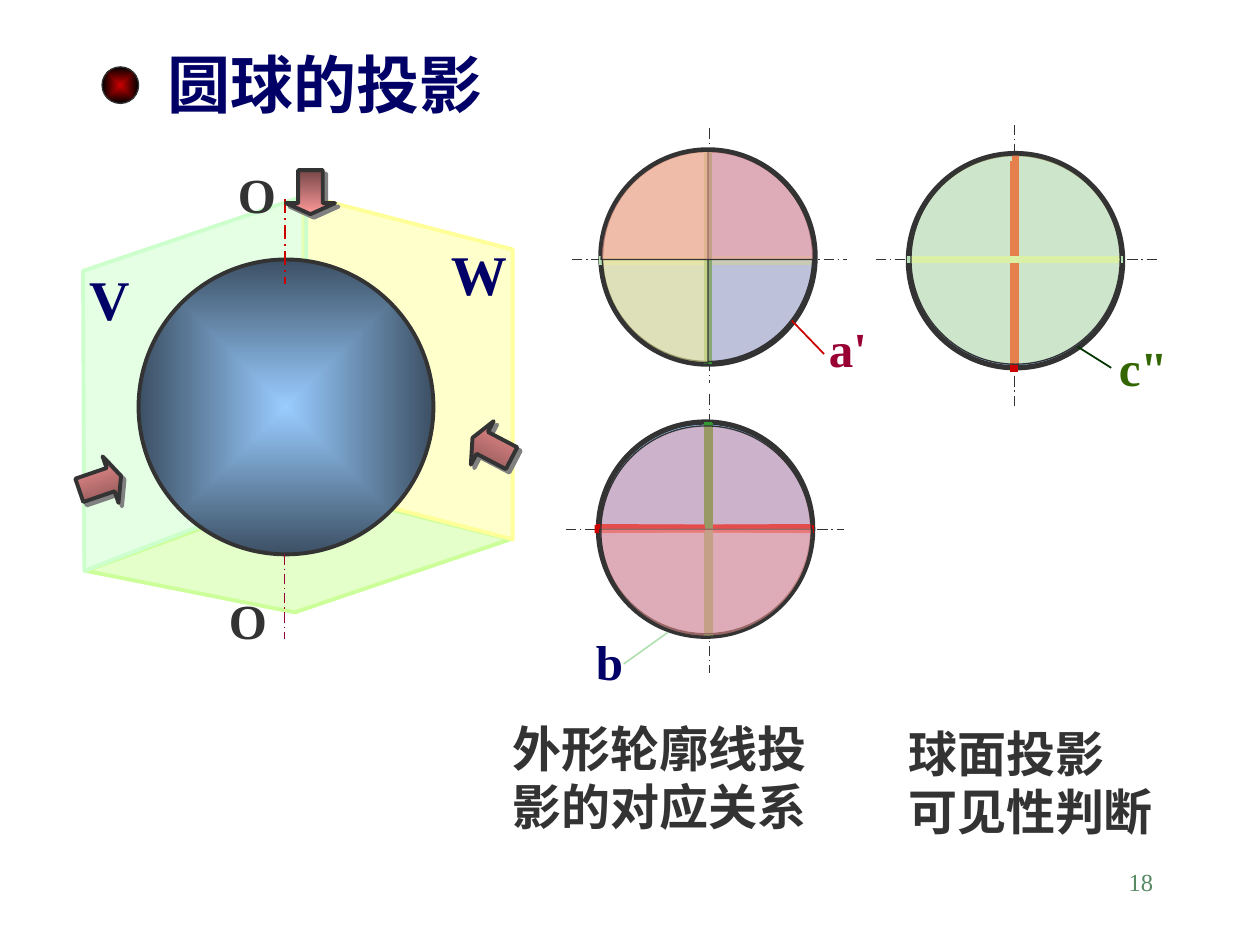
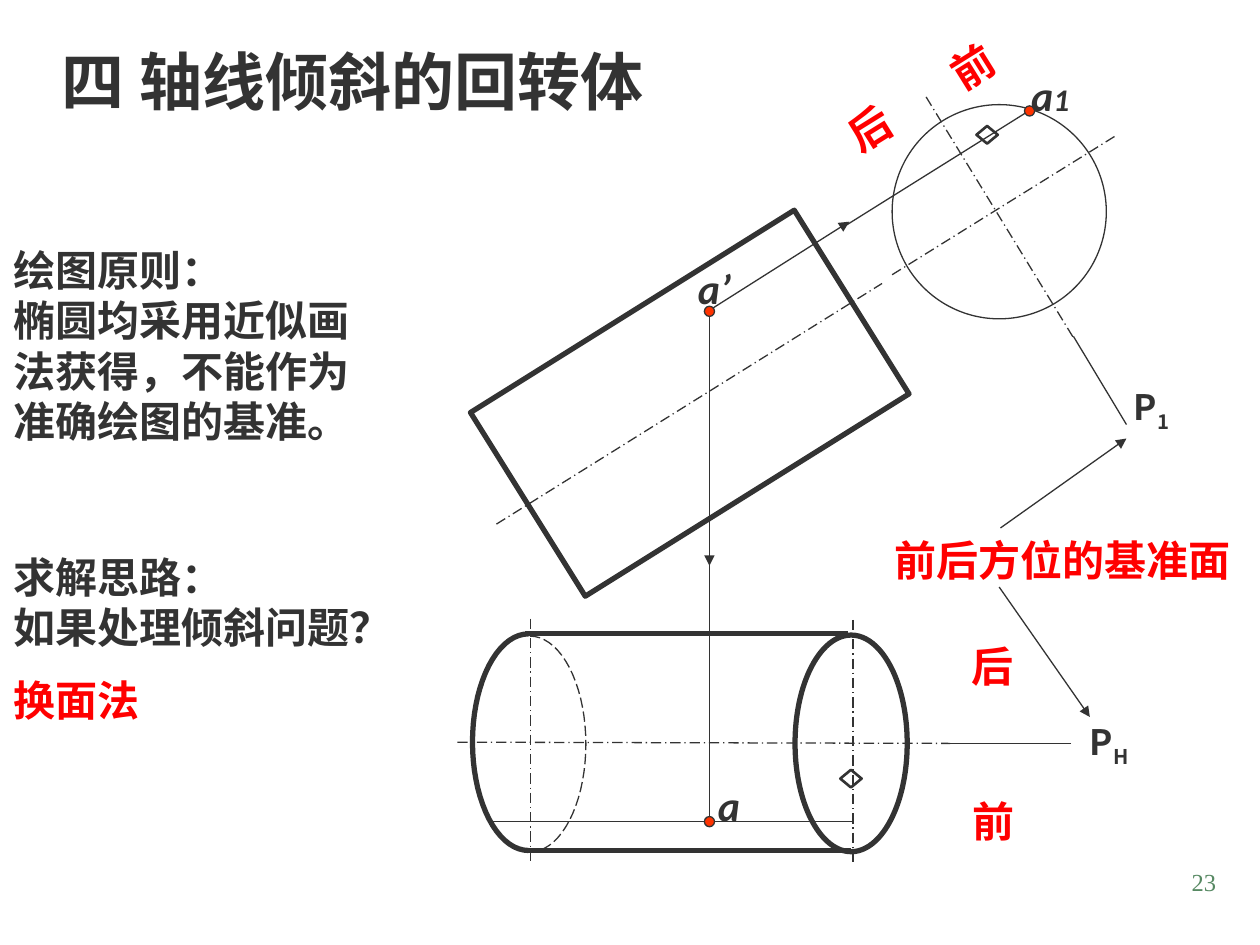
"""Build two descriptive-geometry slides: sphere projection and inclined solids of revolution."""
from math import cos, radians, sin

from lxml import etree
from pptx import Presentation
from pptx.dml.color import RGBColor
from pptx.enum.dml import MSO_LINE
from pptx.enum.shapes import MSO_CONNECTOR, MSO_SHAPE
from pptx.enum.text import MSO_ANCHOR, MSO_AUTO_SIZE, PP_ALIGN
from pptx.oxml.ns import qn
from pptx.util import Pt

STRAIGHT = MSO_CONNECTOR.STRAIGHT
OVAL, RECTANGLE, DOWN_ARROW = MSO_SHAPE.OVAL, MSO_SHAPE.RECTANGLE, MSO_SHAPE.DOWN_ARROW
DOT, DIAMOND = MSO_SHAPE.FLOWCHART_CONNECTOR, MSO_SHAPE.FLOWCHART_DECISION
CHAIN, DASHED = MSO_LINE.LONG_DASH_DOT, MSO_LINE.LONG_DASH
TOP, MIDDLE = MSO_ANCHOR.TOP, MSO_ANCHOR.MIDDLE
LEFT, CENTER, RIGHT = PP_ALIGN.LEFT, PP_ALIGN.CENTER, PP_ALIGN.RIGHT

SERIF, HAN, LATIN = "Times New Roman", "Noto Sans CJK SC", "Calibri"
INK = RGBColor(0x33, 0x33, 0x33)
NAVY = RGBColor(0x00, 0x00, 0x66)
PAGE_GREEN = RGBColor(0x57, 0x89, 0x63)
SKY = RGBColor(0x99, 0xCC, 0xFF)
DEEP_SKY = RGBColor(0x3C, 0x50, 0x64)
LIME = RGBColor(0xCC, 0xFF, 0x99)
YELLOW = RGBColor(0xFF, 0xFF, 0x99)
MINT = RGBColor(0xCC, 0xFF, 0xCC)
PALE_GREEN = RGBColor(0xB3, 0xE1, 0xB3)
GREEN = RGBColor(0x33, 0x99, 0x33)
DARK_GREEN = RGBColor(0x00, 0x33, 0x00)
OLIVE = RGBColor(0x33, 0x66, 0x00)
CRIMSON = RGBColor(0xCC, 0x00, 0x00)
WINE = RGBColor(0x99, 0x00, 0x33)
ROSE = RGBColor(0xE1, 0xB7, 0xB7)
PINK = RGBColor(0xFF, 0x99, 0x99)
BROWN = RGBColor(0x76, 0x47, 0x47)
GREY = RGBColor(0x80, 0x80, 0x80)
BLACK = RGBColor(0x00, 0x00, 0x00)
RED = RGBColor(0xFF, 0x00, 0x00)
ORANGE_RED = RGBColor(0xFF, 0x33, 0x00)

# Slide 1
PLANES = [
    (LIME, [(176.4, 279.4), (49, 326.2), (168.5, 349.9), (291.6, 308.2)]),
    (YELLOW, [(173.5, 111.6), (173.5, 277.2), (293, 308.2), (293, 142.6)]),
    (MINT, [(47.5, 154.8), (175, 111.6), (175, 277.2), (48.2, 326.2)]),
]
VIEW_CIRCLES = [(342, 241.2), (519.1, 87.8), (343.4, 85.7)]
VIEW_SIZE = 122.4
CENTER_LINES = [
    (326.9, 148.3, 483.8, 148.3), (500.4, 148.3, 661.7, 148.3),
    (579.6, 71.3, 579.6, 232.6), (405.4, 73.4, 405.4, 218.9),
    (405.4, 225.4, 405.4, 384.5), (323.3, 302.4, 482.4, 302.4),
]
LEADERS = [
    ((452.2, 182.9, 470.9, 202.3), CRIMSON),
    ((381.6, 361.4, 356.4, 379.4), PALE_GREEN),
    ((615.6, 198, 635, 210.2), DARK_GREEN),
]
OUTLINE_LINES = [
    ((340.6, 301.7, 465.1, 302.4), CRIMSON), ((580.3, 88.6, 580.3, 208.8), CRIMSON),
    ((342, 148.3, 464.4, 148.3), PALE_GREEN), ((404.6, 241.2, 404.6, 363.6), GREEN),
    ((339.8, 302.4, 463.7, 301.7), CRIMSON), ((579.6, 92.2, 579.6, 212.4), CRIMSON),
    ((342, 149, 464.4, 149), PALE_GREEN), ((518.4, 148.3, 641.5, 148.3), PALE_GREEN),
    ((404.6, 86.4, 404.6, 208.1), GREEN), ((405.4, 241.9, 405.4, 364.3), GREEN),
]
SPHERE_AXES = [
    ((162.7, 113.8, 162.7, 162), CRIMSON, 1),
    ((162.7, 316.8, 162.7, 365), WINE, 0.75),
]
HALF, WHOLE = "half", "whole"
TINTS = [
    (HALF, ROSE, (403.5, 302.4, 60.8, 59.8, 0, 180)),
    (WHOLE, ROSE, (344.2, 86.4, 120.2, 120.2)),
    (HALF, YELLOW, (404.6, 146.9, 60.4, 60.5, 90, 270)),
    (WHOLE, YELLOW, (520.6, 88.6, 119.5, 119.5)),
    (HALF, PINK, (404.3, 148.3, 60.8, 61.9, 180, 360)),
    (WHOLE, PINK, (343.4, 243.4, 120.2, 120.2)),
]
SPHERE_LABELS = [
    ("V", 32, NAVY, (43.9, 147.6, 37.4, 45.4)),
    ("W", 32, NAVY, (250.6, 133.2, 46.8, 45.4)),
    ("a'", 28, WINE, (466.6, 178.6, 46.1, 41)),
    ("b", 28, NAVY, (333.4, 357.1, 30.2, 41)),
    ('c"', 28, OLIVE, (632.2, 189.4, 46, 41)),
    ("O", 28, INK, (128.9, 90.7, 36, 41)),
    ("O", 28, INK, (123.8, 334.1, 36, 41)),
    ("外形轮廓线投\n影的对应关系", 28, INK, (285.8, 406.8, 210.2, 74.2)),
    ("球面投影\n可见性判断", 28, INK, (511.9, 409.7, 181.4, 74.2)),
]
VIEW_ARROWS = [
    (163.4, 97.2, 0, BROWN, PINK, 90),
    (267.1, 243.4, 117.6, PINK, BROWN, 0),
    (43.2, 263.5, 251.1, BROWN, PINK, 0),
]

# Slide 2
HAIRLINES = [
    (405.4, 320.4, 405.4, 468.7), (487.4, 469.4, 280.1, 469.4), (481, 130.3, 586.8, 64.1),
    (612, 424.8, 542.9, 424.8), (643.7, 242.6, 613.4, 192.2),
]
ARROW_LINES = [
    (405.4, 177.8, 405.4, 323.3), (406.8, 176.4, 485.3, 126.7),
    (571.7, 301.7, 643.7, 250.6), (571, 335.5, 622.8, 409.7),
]
AXIS_LINES = [
    (283.7, 299.5, 504, 162), (303.1, 353.5, 303.1, 493.9), (487.4, 354.2, 487.4, 493.2),
    (261.4, 424.1, 542.9, 424.8), (509.8, 157, 637.2, 77.8), (529.2, 55.4, 613.4, 193),
]
CYLINDER_EDGES = [(300.2, 362.2, 484.6, 362.2), (301.7, 486, 486, 486)]
SOLID_SHAPES = [
    (RECTANGLE, (285.1, 168.5, 218.2, 123.8), None, 3, 328),
    (OVAL, (454.3, 362.9, 64.1, 123.8), None, 3, 0),
    (OVAL, (509.8, 59.8, 122.4, 122.4), None, 0.75, 0),
    (DIAMOND, (558, 72, 12.2, 10.1), None, 1.5, 0),
    (DIAMOND, (480.2, 439.9, 12.2, 10.1), None, 1.5, 0),
]
POINT_MARKS = [(402.5, 175), (402.5, 466.6), (585.4, 60.5)]
NOTES = [
    ("求解思路：\n如果处理倾斜问题？", INK, (0.7, 311, 247.7, 65.5), 0),
    ("绘图原则：\n椭圆均采用近似画法获得，不能作为准确绘图的基准。", INK, (0.7, 135.4, 223.9, 123.8), 0),
    ("换面法", RED, (0.7, 381.6, 247.7, 36), 0),
    ("前后方位的基准面", RED, (504, 301.7, 216, 36), 0),
    ("前", RED, (548.6, 450.7, 56.2, 36), 0),
    ("前", RED, (535, 15.1, 56.2, 36), 328.1),
    ("后", RED, (547.9, 362.2, 56.2, 36), 0),
    ("后", RED, (476.6, 50.4, 56.2, 36), 328.1),
]
POINT_LABELS = [
    ([("a’", 24)], (385.2, 146.2, 46.1, 36)),
    ([("a", 24), ("1", 18)], (576.7, 36, 46.8, 36)),
    ([("a", 24)], (403.2, 442.1, 25.9, 36)),
]
PLANE_LABELS = [("H", (615.6, 409.7, 43.2, 31.7)), ("1", (640.8, 218.2, 43.2, 31.7))]


def pts(values):
    return [Pt(value) for value in values]


def add_span(para, text, size, colour, font=SERIF, bold=True, italic=False, base=0):
    span = para.add_run()
    span.text = text
    span.font.size, span.font.bold, span.font.italic = Pt(size), bold, italic
    span.font.name, span.font.color.rgb = font, colour
    props = span._r.get_or_add_rPr()
    etree.SubElement(props, qn("a:ea"), typeface=HAN)
    if base:
        props.set("baseline", str(base * 1000))


def prepare_frame(box, anchor):
    frame = box.text_frame
    frame.word_wrap, frame.auto_size = True, MSO_AUTO_SIZE.NONE
    frame.vertical_anchor = anchor
    return frame


def add_box(page, place, anchor=MIDDLE, align=LEFT, turn=0):
    box = page.shapes.add_textbox(*pts(place))
    box.rotation = turn
    para = prepare_frame(box, anchor).paragraphs[0]
    para.alignment = align
    return box.text_frame


def add_lines(frame, text, size, colour, font):
    for index, line in enumerate(text.split("\n")):
        para = frame.add_paragraph() if index else frame.paragraphs[0]
        add_span(para, line, size, colour, font)


def add_line(page, ends, colour=INK, width=0.75, dash=None, arrow=False):
    connector = page.shapes.add_connector(STRAIGHT, *pts(ends))
    connector.line.color.rgb, connector.line.width = colour, Pt(width)
    if dash:
        connector.line.dash_style = dash
    if arrow:
        etree.SubElement(connector.line._get_or_add_ln(), qn("a:tailEnd"), type="triangle")
    etree.SubElement(connector._element.spPr, qn("a:effectLst"))


def paint(shape, fill=None, colour=INK, width=0.75, opacity=100):
    shape.shadow.inherit = False
    shape.line.color.rgb, shape.line.width = colour, Pt(width)
    if fill is None:
        shape.fill.background()
        return
    shape.fill.solid()
    shape.fill.fore_color.rgb = fill
    if opacity < 100:
        tone = shape._element.spPr.find(qn("a:solidFill"))[0]
        etree.SubElement(tone, qn("a:alpha"), val=str(opacity * 1000))


def add_form(page, kind, place, fill=None, width=0.75, opacity=100, turn=0):
    shape = page.shapes.add_shape(kind, *pts(place))
    shape.rotation = turn
    paint(shape, fill, INK, width, opacity)
    return shape


def add_outline(page, points, close=True):
    start, *rest = [tuple(pts(point)) for point in points]
    builder = page.shapes.build_freeform(*start)
    builder.add_line_segments(rest, close=close)
    return builder.convert_to_shape()


def arc(center_x, center_y, radius_x, radius_y, start, end):
    return [(center_x + radius_x * cos(radians(angle)), center_y + radius_y * sin(radians(angle)))
            for angle in range(start, end + 1, 5)]


def set_gradient(shape, first, last, angle=None):
    props = shape._element.spPr
    gradient = etree.Element(qn("a:gradFill"), rotWithShape="1")
    stops = etree.SubElement(gradient, qn("a:gsLst"))
    for position, colour in ((0, first), (100000, last)):
        stop = etree.SubElement(stops, qn("a:gs"), pos=str(position))
        etree.SubElement(stop, qn("a:srgbClr"), val=str(colour))
    if angle is None:
        shade = etree.SubElement(gradient, qn("a:path"), path="shape")
        etree.SubElement(shade, qn("a:fillToRect"), l="50000", t="50000", r="50000", b="50000")
    else:
        etree.SubElement(gradient, qn("a:lin"), ang=str(angle * 60000), scaled="1")
    props.replace(props.find(qn("a:noFill")), gradient)


def add_drop_shadow(shape):
    effects = shape._element.spPr.find(qn("a:effectLst"))
    shadow = etree.SubElement(effects, qn("a:outerShdw"), blurRad="0", dist=str(Pt(2.8)),
                              dir="2700000", algn="ctr", rotWithShape="0")
    etree.SubElement(shadow, qn("a:srgbClr"), val=str(GREY))


def add_page(deck, title, place, colour, font, number, number_left):
    page = deck.slides.add_slide(deck.slide_layouts[5])
    heading = page.shapes.title
    heading.left, heading.top, heading.width, heading.height = pts(place)
    para = prepare_frame(heading, MIDDLE).paragraphs[0]
    para.alignment = LEFT
    add_span(para, title, 36, colour, font)
    frame = add_box(page, (number_left, 491.8, 149.8, 36), TOP, RIGHT)
    add_span(frame.paragraphs[0], number, 14, PAGE_GREEN, bold=False)
    return page


def build_sphere_page(deck):
    page = add_page(deck, "圆球的投影", (88.6, 22.3, 275, 50.4), NAVY, SERIF, "18", 516.2)
    for colour, corners in PLANES:
        paint(add_outline(page, corners), colour, colour, 2.25, 50)
    for left, top in VIEW_CIRCLES:
        add_form(page, OVAL, (left, top, VIEW_SIZE, VIEW_SIZE), SKY, 3)
    for ends in CENTER_LINES:
        add_line(page, ends, dash=CHAIN)
    for ends, colour in LEADERS:
        add_line(page, ends, colour, 1)
    for ends, colour in OUTLINE_LINES:
        add_line(page, ends, colour, 4.5)
    set_gradient(add_form(page, OVAL, (79.2, 148.3, 168.5, 168.5), width=2.25), SKY, DEEP_SKY)
    for ends, colour, width in SPHERE_AXES:
        add_line(page, ends, colour, width, CHAIN)
    set_gradient(add_form(page, OVAL, (58.3, 38.2, 20.9, 20.9)), CRIMSON, BLACK)
    for extent, colour, geometry in TINTS:
        if extent == HALF:
            paint(add_outline(page, arc(*geometry)), colour, opacity=50)
        else:
            add_form(page, OVAL, geometry, colour, opacity=50)
    for text, size, colour, place in SPHERE_LABELS:
        add_lines(add_box(page, place, TOP), text, size, colour, SERIF)
    for left, top, turn, first, last, angle in VIEW_ARROWS:
        arrow = add_form(page, DOWN_ARROW, (left, top, 28.1, 25.2), width=2.25, turn=turn)
        arrow.adjustments[0], arrow.adjustments[1] = 0.5, 0.25
        set_gradient(arrow, first, last, angle)
        add_drop_shadow(arrow)


def build_inclined_page(deck):
    page = add_page(deck, "四 轴线倾斜的回转体", (28.1, 20.9, 671, 50.4), INK, HAN, "23", 552.2)
    for ends in HAIRLINES:
        add_line(page, ends)
    for ends in ARROW_LINES:
        add_line(page, ends, arrow=True)
    for ends in AXIS_LINES:
        add_line(page, ends, dash=CHAIN)
    for ends in CYLINDER_EDGES:
        add_line(page, ends, width=3)
    for kind, place, fill, width, turn in SOLID_SHAPES:
        add_form(page, kind, place, fill, width, turn=turn)
    hidden_end = add_outline(page, arc(302.8, 425.2, 32, 61.7, -90, 90), close=False)
    paint(hidden_end)
    hidden_end.line.dash_style = DASHED
    paint(add_outline(page, arc(302, 424.1, 32, 61.9, 90, 270), close=False), width=3)
    for left, top in POINT_MARKS:
        add_form(page, DOT, (left, top, 5.8, 5.8), ORANGE_RED)
    for text, colour, place, turn in NOTES:
        add_lines(add_box(page, place, turn=turn), text, 24, colour, HAN)
    for spans, place in POINT_LABELS:
        para = add_box(page, place, align=CENTER).paragraphs[0]
        for text, size in spans:
            add_span(para, text, size, INK, LATIN, italic=True)
    for subscript, place in PLANE_LABELS:
        para = add_box(page, place).paragraphs[0]
        add_span(para, "P", 20, INK, HAN)
        add_span(para, subscript, 20, INK, HAN, base=-25)


def main():
    deck = Presentation()
    deck.slide_width, deck.slide_height = Pt(720), Pt(540)
    build_sphere_page(deck)
    build_inclined_page(deck)
    deck.save("out.pptx")


if __name__ == "__main__":
    main()
